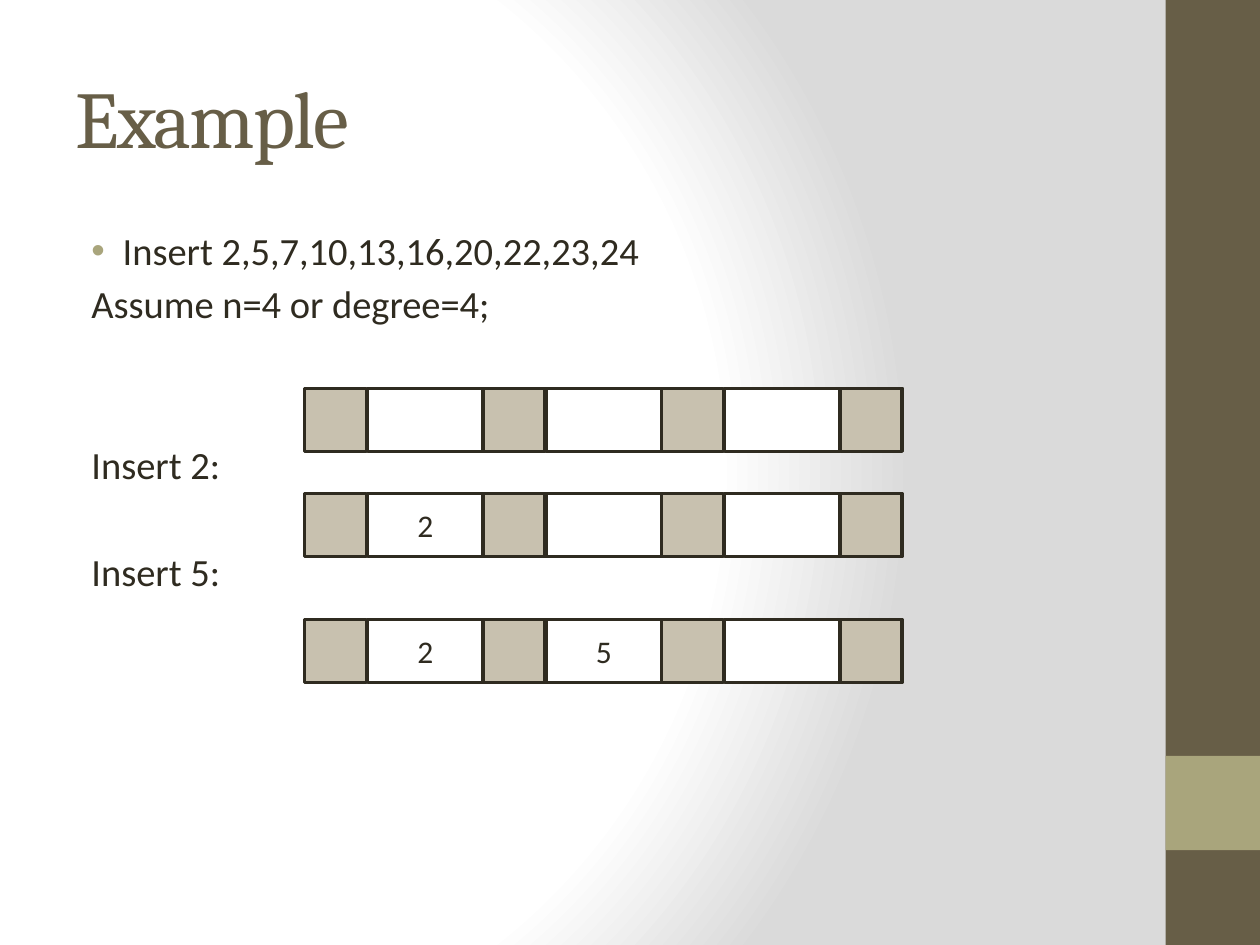
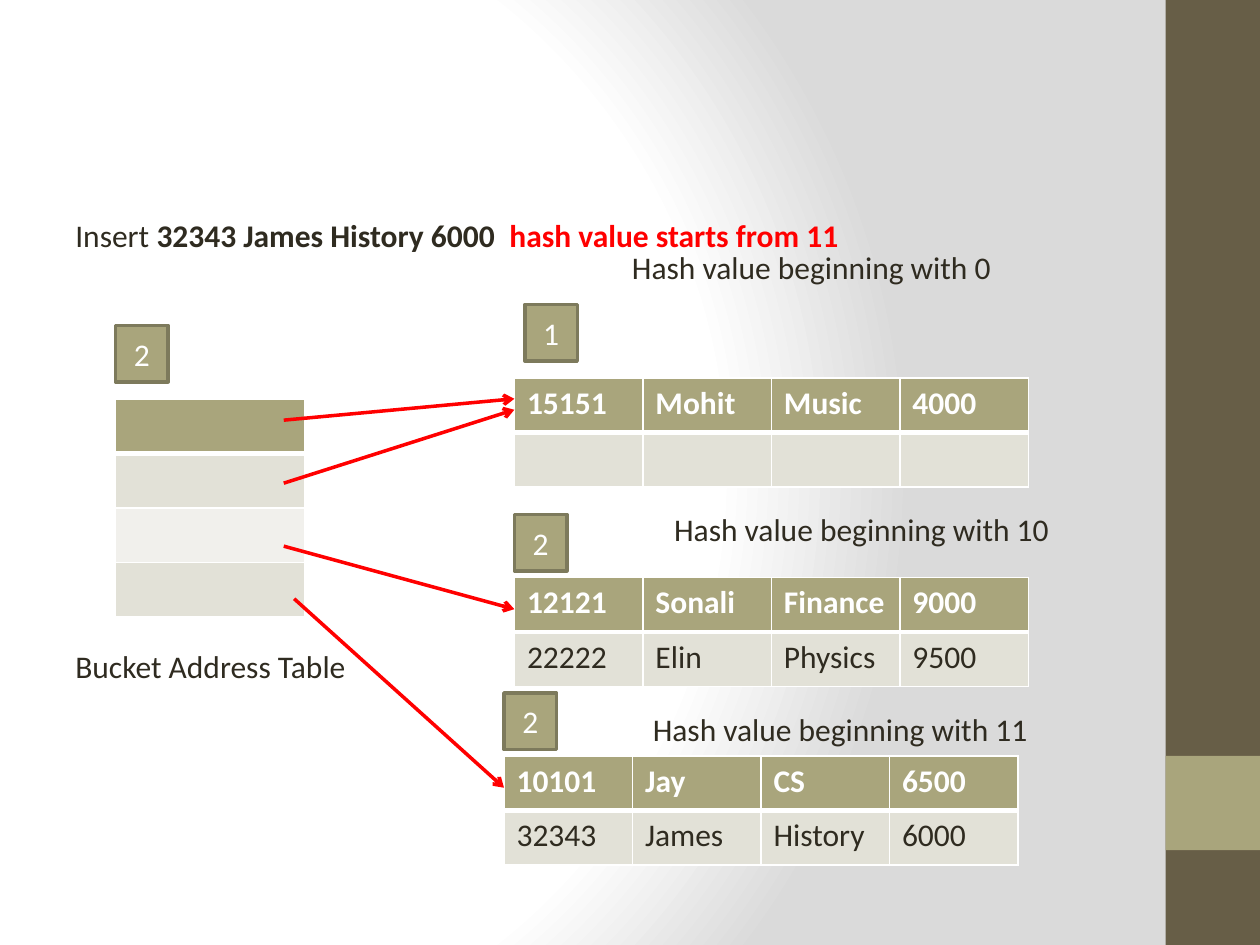
"""Build two slides: node inserts in a tree, and hash buckets after an insert."""
from dataclasses import dataclass

from pptx import Presentation
from pptx.dml.color import RGBColor
from pptx.enum.shapes import MSO_CONNECTOR as Link, MSO_SHAPE as Form
from pptx.enum.text import MSO_ANCHOR as Anchor, MSO_AUTO_SIZE as Fit, PP_ALIGN as Align
from pptx.oxml import parse_xml
from pptx.oxml.ns import nsdecls, qn
from pptx.oxml.xmlchemy import OxmlElement as Node
from pptx.util import Cm, Pt


@dataclass(frozen=True)
class Theme:
    ink: str = "2F2B20"
    brown: str = "675E47"
    olive: str = "A9A57C"
    edge: str = "7D7A5C"
    sand: str = "C8C1AF"
    white: str = "FFFFFF"
    grey: str = "DADADA"
    odd: str = "E2E1D7"
    even: str = "F1F0EC"
    red: str = "FF0000"
    head: str = "Cambria"
    body: str = "Calibri"
    big: int = 46
    mid: int = 22
    base: int = 18


T = Theme()

BANDS = [((23.5, 0, 1.9, 19.05), T.brown), ((23.5, 15.24, 1.9, 1.9), T.olive)]

TITLE = "Example"
LINES = [
    ("Insert 2,5,7,10,13,16,20,22,23,24", True, 0),
    ("Assume n=4 or degree=4;", False, 4),
    ("Insert 2:", False, 65.5),
    ("Insert 5:", False, 34.5),
]
NODES = [(7.83, ["", "", ""]), (9.95, ["2", "", ""]), (12.49, ["2", "5", ""])]
NODE_X, PITCH, KEY_W, PTR_W, NODE_H = 6.14, 3.6, 2.33, 1.25, 1.27

TASK = [
    ("Insert ", {}),
    ("32343 James History 6000  ", {"bold": True}),
    ("hash value starts from 11", {"bold": True, "color": T.red}),
]
LABELS = [
    ((1.27, 4.23, 19.48), TASK),
    ((1.27, 12.91, 6.14), [("Bucket Address Table", {})]),
    ((12.49, 4.87, 7.83), [("Hash value beginning with 0", {})]),
    ((13.34, 10.16, 9.31), [("Hash value beginning with 10", {})]),
    ((12.91, 14.18, 9.31), [("Hash value beginning with 11", {})]),
]
TABLES = [
    ((2.33, 8.04), 3.81, [[""], [""], [""], [""]]),
    ((10.37, 7.62), 2.59, [["15151", "Mohit", "Music", "4000"], ["", "", "", ""]]),
    ((10.37, 11.64), 2.59, [["12121", "Sonali", "Finance", "9000"],
                            ["22222", "Elin", "Physics", "9500"]]),
    ((10.16, 15.24), 2.59, [["10101", "Jay", "CS", "6500"],
                            ["32343", "James", "History", "6000"]]),
]
ROW_H = 1.1
BADGES = [("2", 2.33, 6.56), ("1", 10.58, 6.14), ("2", 10.37, 10.37), ("2", 10.16, 13.97)]
ARROWS = [
    (5.72, 8.47, 10.37, 8.04),
    (5.72, 9.74, 10.37, 8.26),
    (5.72, 11.01, 10.37, 12.28),
    (5.93, 12.07, 10.16, 15.88),
]


def rgb(code):
    return RGBColor.from_string(code)


def cms(*sizes):
    return [Cm(size) for size in sizes]


def write(para, text, size=T.base, color=T.ink, font=T.body, bold=False, align=None, track=None):
    run = para.add_run()
    run.text = text
    run.font.size, run.font.name, run.font.bold = Pt(size), font, bold
    run.font.color.rgb = rgb(color)
    if align is not None:
        para.alignment = align
    if track:
        run.font._element.set("spc", str(track))


def box(shapes, place, fill, line=None, text="", color=T.ink):
    shape = shapes.add_shape(Form.RECTANGLE, *cms(*place))
    shape.shadow.inherit = False
    shape.fill.solid()
    shape.fill.fore_color.rgb = rgb(fill)
    if line:
        shape.line.color.rgb = rgb(line)
        shape.line.width = Pt(2)
    else:
        shape.line.fill.background()
    if text:
        shape.text_frame.vertical_anchor = Anchor.MIDDLE
        write(shape.text_frame.paragraphs[0], text, color=color, align=Align.CENTER)
    return shape


def label(slide, place, parts):
    frame = slide.shapes.add_textbox(*cms(*place, 1.02)).text_frame
    frame.word_wrap = True
    for text, style in parts:
        write(frame.paragraphs[0], text, **style)


def style_master(master, slide):
    """Set the backdrop and move the side bands to the master."""
    sheet = master.element.cSld
    for old in sheet.findall(qn("p:bg")):
        sheet.remove(old)
    stops = "".join(
        f'<a:gs pos="{pos}000"><a:srgbClr val="{code}"/></a:gs>'
        for pos, code in [(0, T.white), (75, T.white), (100, T.grey)])
    sheet.insert(0, parse_xml(
        f'<p:bg {nsdecls("p", "a")}><p:bgPr><a:gradFill rotWithShape="1">'
        f'<a:gsLst>{stops}</a:gsLst><a:path path="circle">'
        '<a:fillToRect l="20000" t="50000" r="100000" b="50000"/></a:path>'
        '</a:gradFill><a:effectLst/></p:bgPr></p:bg>'))
    for num, (place, fill) in enumerate(BANDS):
        band = box(slide.shapes, place, fill).element
        band.nvSpPr.cNvPr.id = 20 + num
        band.nvSpPr.cNvPr.name = f"Band {num + 1}"
        sheet.spTree.insert(2 + num, band)


def move(holder, *place):
    holder.left, holder.top, holder.width, holder.height = cms(*place)
    holder.text_frame.auto_size = Fit.NONE
    return holder.text_frame


def mark(para, bullet):
    """Set the hanging indent and the bullet of a paragraph."""
    props = para._p.get_or_add_pPr()
    props.set("marL", str(Cm(0.95)))
    props.set("indent", str(Cm(-0.63)))
    if bullet:
        tint = Node("a:buClr")
        shade = Node("a:srgbClr")
        shade.set("val", T.olive)
        tint.append(shade)
        sign = Node("a:buChar")
        sign.set("char", "•")
        props.extend([tint, sign])
    else:
        props.append(Node("a:buNone"))


def draw_node(slide, top, keys):
    shapes = slide.shapes.add_group_shape().shapes
    for num, key in enumerate(keys):
        left = NODE_X + num * PITCH + 1.27
        box(shapes, (left, top, KEY_W, NODE_H), T.white, T.ink, key)
    for num in range(len(keys) + 1):
        box(shapes, (NODE_X + num * PITCH, top, PTR_W, NODE_H), T.sand, T.ink)


def rule(cell, side, width):
    line = Node(f"a:ln{side}")
    line.set("w", str(Pt(width)))
    fill, shade = Node("a:solidFill"), Node("a:srgbClr")
    shade.set("val", T.white)
    fill.append(shade)
    line.append(fill)
    cell._tc.get_or_add_tcPr().append(line)


def draw_table(slide, place, width, rows):
    count = len(rows[0])
    table = slide.shapes.add_table(
        len(rows), count, *cms(*place, width * count, ROW_H * len(rows))).table
    for num, row in enumerate(rows):
        top = num == 0
        for col, text in enumerate(row):
            cell = table.cell(num, col)
            for side in "LRTB":
                thick = (top and side == "B") or (num == 1 and side == "T")
                rule(cell, side, 3 if thick else 1)
            cell.fill.solid()
            cell.fill.fore_color.rgb = rgb(T.olive if top else T.odd if num % 2 else T.even)
            if text:
                write(cell.text_frame.paragraphs[0], text,
                      color=T.white if top else T.ink, bold=top)


def arrow(slide, *ends):
    link = slide.shapes.add_connector(Link.STRAIGHT, *cms(*ends))
    link.line.color.rgb = rgb(T.red)
    link.line.width = Pt(2)
    tip = Node("a:tailEnd")
    tip.set("type", "arrow")
    link.line._get_or_add_ln().append(tip)
    link.element.spPr.append(Node("a:effectLst"))


def tree_slide(slide):
    frame = move(slide.shapes.title, 1.27, 0.76, 21.16, 3.18)
    frame.vertical_anchor = Anchor.MIDDLE
    write(frame.paragraphs[0], TITLE, size=T.big, color=T.brown, font=T.head,
          align=Align.LEFT, track=-100)
    frame = move(slide.placeholders[1], 1.27, 4.45, 21.16, 13.34)
    for num, (text, bullet, gap) in enumerate(LINES):
        para = frame.add_paragraph() if num else frame.paragraphs[0]
        mark(para, bullet)
        para.space_before = Pt(gap)
        write(para, text, size=T.mid)
    for top, keys in NODES:
        draw_node(slide, top, keys)


def hash_slide(slide):
    for place, parts in LABELS:
        label(slide, place, parts)
    for place, width, rows in TABLES:
        draw_table(slide, place, width, rows)
    for text, left, top in BADGES:
        box(slide.shapes, (left, top, 1.06, 1.14), T.olive, T.edge, text, T.white)
    for ends in ARROWS:
        arrow(slide, *ends)


def main():
    deck = Presentation()
    deck.slide_width, deck.slide_height = cms(25.4, 19.05)
    first = deck.slides.add_slide(deck.slide_layouts[1])
    style_master(deck.slide_master, first)
    tree_slide(first)
    hash_slide(deck.slides.add_slide(deck.slide_layouts[6]))
    deck.save("out.pptx")


if __name__ == "__main__":
    main()
